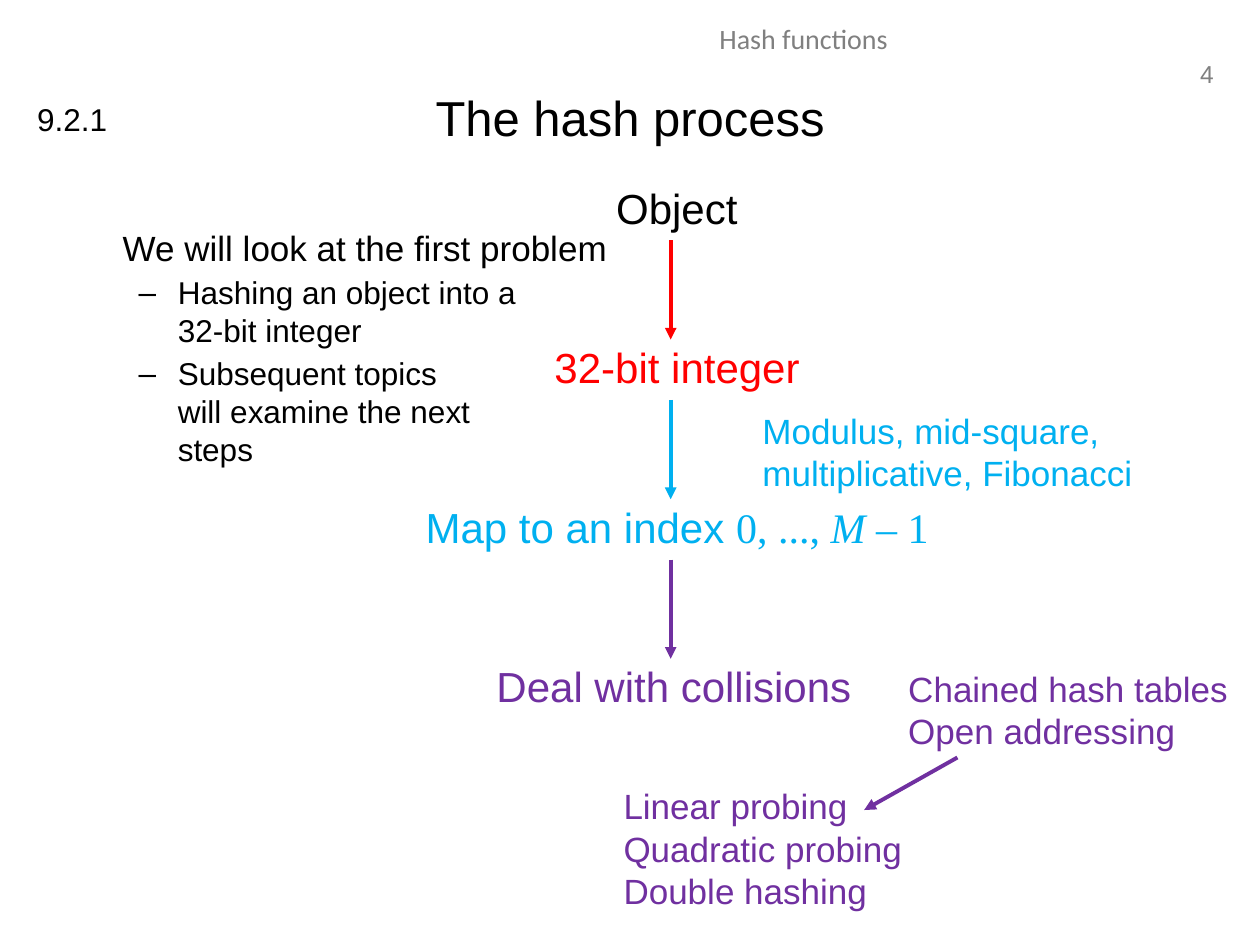
from lxml.etree import SubElement as Sub
from pptx import Presentation as Deck
from pptx.dml.color import RGBColor as Rgb
from pptx.enum.shapes import MSO_CONNECTOR as Link
from pptx.enum.text import MSO_ANCHOR as Anchor, MSO_AUTO_SIZE as Fit, PP_ALIGN as Align
from pptx.oxml.ns import qn
from pptx.util import Cm, Pt

BLACK = Rgb(0x00, 0x00, 0x00)
GREY = Rgb(0x80, 0x80, 0x80)
RED = Rgb(0xFF, 0x00, 0x00)
BLUE = Rgb(0x00, 0xB0, 0xF0)
PURPLE = Rgb(0x70, 0x30, 0xA0)
TIGHT = {"word_wrap": False, "auto_size": Fit.SHAPE_TO_FIT_TEXT}
FIXED = {"word_wrap": True, "auto_size": Fit.NONE}


def apply(item, style):
    for key, value in style.items():
        setattr(item, key, value)


def paint(para, size, color, name="Arial"):
    for run in para.runs:
        apply(run.font, {"size": Pt(size), "name": name})
        run.font.color.rgb = color


def place(shape, box):
    apply(shape, dict(zip(("left", "top", "width", "height"), map(Cm, box))))


def label(slide, box, lines, size, color, align=Align.LEFT, name="Arial", frame=TIGHT):
    text = slide.shapes.add_textbox(*map(Cm, box)).text_frame
    apply(text, frame)
    text.text = lines
    for para in text.paragraphs:
        para.alignment = align
        paint(para, size, color, name)
    return text


def arrow(slide, start, end, color):
    line = slide.shapes.add_connector(Link.STRAIGHT, *map(Cm, start + end))
    line.line.width = Pt(2.25)
    line.line.color.rgb = color
    Sub(line.line._get_or_add_ln(), qn("a:tailEnd"), type="triangle")
    Sub(line._element.spPr, qn("a:effectLst"))


def header(slide, box):
    x, y, w, h = box
    # Running head, page and section numbers
    label(slide, (x + 7.6, y, 16.2, 1), "Hash functions", 16, GREY,
          Align.CENTER, "Calibri", FIXED)
    label(slide, (x + 23.1, y + 0.77, 1.12, 0.84), "4", 14, GREY, Align.RIGHT)
    label(slide, (x, y + 1.6, 1.93, 1.02), "9.2.1", 18, BLACK)
    # Title
    title = slide.shapes.title
    place(title, (x + 0.77, y + 0.46, w - 1.54, h))
    title.text_frame.text = "The hash process"
    apply(title.text_frame, {**FIXED, "vertical_anchor": Anchor.MIDDLE})
    paint(title.text_frame.paragraphs[0], 28, BLACK)


def topics(slide, box):
    body = slide.placeholders[1]
    place(body, box)
    text = body.text_frame
    apply(text, FIXED)
    text.text = "\n".join((
        "We will look at the first problem",
        "Hashing an object into a\v32-bit integer",
        "Subsequent topics\vwill examine the next\vsteps",
    ))
    for i, para in enumerate(text.paragraphs):
        para.level = min(i, 1)
        left, hang, size, gap = (2.06, -0.79, 18, 3) if i else (0.95, 0, 20, 0)
        para.space_before = Pt(gap)
        props = para._p.get_or_add_pPr()
        props.set("marL", str(Cm(left)))
        props.set("indent", str(Cm(hang)))
        if i:
            Sub(props, qn("a:buChar"), char="–")
        else:
            Sub(props, qn("a:buNone"))
        paint(para, size, BLACK)


def flow(slide, box):
    x, y, w, h = box
    step = h / 3
    # Stages: left, width, text, colour
    stages = (
        (4.07, 2.95, "Object", BLACK),
        (2.82, 5.46, "32-bit integer", RED),
        (0, w, "Map to an index ", BLUE),
        (1.65, 7.67, "Deal with collisions", PURPLE),
    )
    for i, (left, wide, words, color) in enumerate(stages):
        top = y + i * step
        text = label(slide, (x + left, top, wide, 1.27), words, 24, color, Align.CENTER)
        if color == BLUE:
            para = text.paragraphs[0]
            for part in ("0, ..., ", "M", " – 1"):
                run = para.add_run()
                run.text = part
                apply(run.font, {"size": Pt(24), "name": "Times New Roman",
                                 "italic": part == "M"})
                run.font.color.rgb = color
        # Arrow in the colour of the stage it leads to
        if i:
            arrow(slide, (x + 5.42, top - 1.92), (x + 5.42, top + 0.08), color)


def methods(slide, box):
    x, y, w, h = box
    label(slide, (x + 2.8, y, 7.98, 1.96),
          "Modulus, mid-square,\vmultiplicative, Fibonacci", 20, BLUE)
    label(slide, (x + 5.74, y + 5.21, w - 5.74, 1.96),
          "Chained hash tables\nOpen addressing", 20, PURPLE, frame=FIXED)
    label(slide, (x, y + 7.57, 6.17, 2.82),
          "Linear probing\nQuadratic probing\nDouble hashing", 20, PURPLE)
    arrow(slide, (x + 6.98, y + 7.14), (x + 5.1, y + 8.2), PURPLE)


def main():
    deck = Deck()
    apply(deck, {"slide_width": Cm(25.4), "slide_height": Cm(19.05)})
    slide = deck.slides.add_slide(deck.slide_layouts[1])
    header(slide, (0.5, 0.3, 24.4, 3.18))
    topics(slide, (1.27, 4.43, 22.86, 12.57))
    flow(slide, (8.1, 3.55, 11.1, 9.65))
    methods(slide, (12.32, 8.13, 13, 10.39))
    deck.save("out.pptx")


if __name__ == "__main__":
    main()
